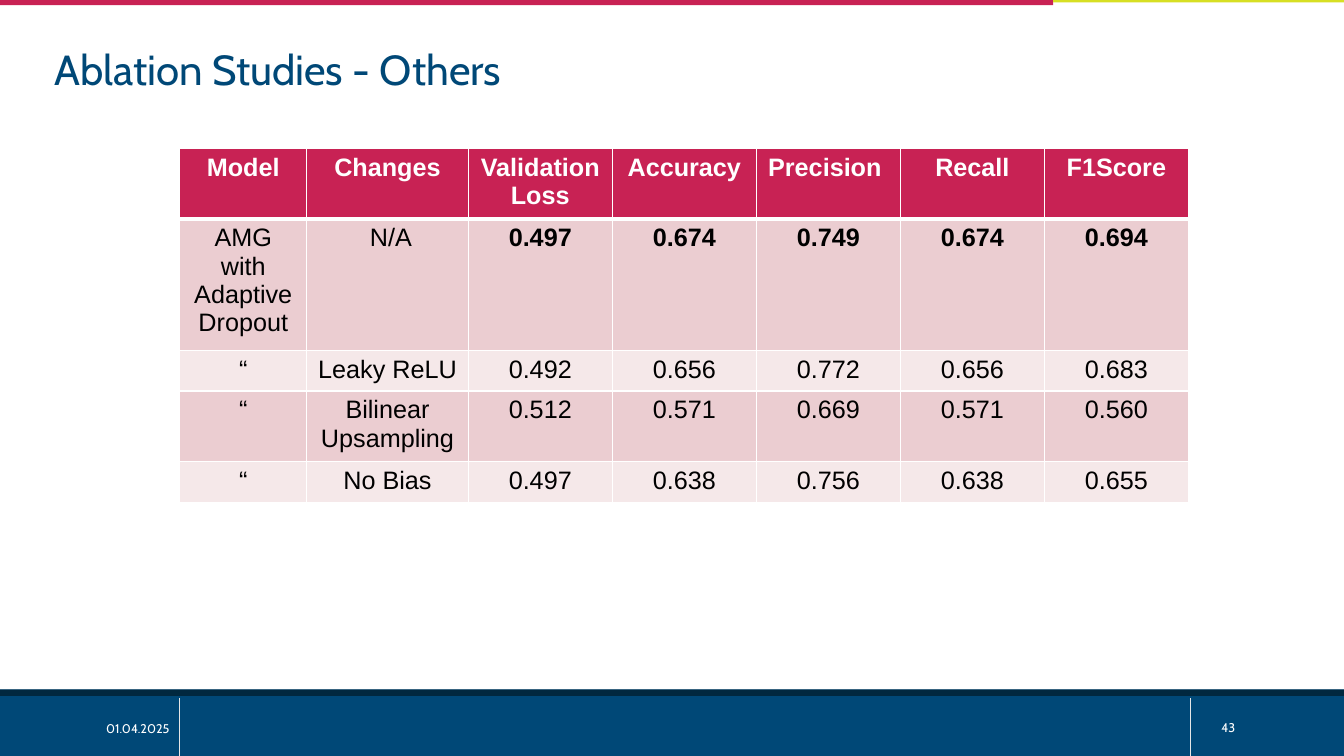
from dataclasses import dataclass

from lxml.etree import SubElement
from pptx import Presentation
from pptx.dml.color import RGBColor
from pptx.enum.shapes import MSO_CONNECTOR, MSO_SHAPE
from pptx.enum.text import MSO_ANCHOR, PP_ALIGN
from pptx.oxml.ns import qn
from pptx.util import Cm, Pt


@dataclass(frozen=True)
class Theme:
    blue: str = "004877"
    navy: str = "01283F"
    red: str = "C82254"
    lime: str = "D7DF23"
    rule: str = "E6E6E6"
    white: str = "FFFFFF"
    black: str = "000000"
    bands: tuple = ("EBCDD1", "F5E8E9")
    head: str = "Cabin"
    body: str = "Arial"
    title: int = 30
    cell: int = 18
    small: int = 9


THEME = Theme()
WIDTH, HEIGHT = 33.87, 19.05
COLS = (3.2, 4.07) + (3.63,) * 5
ROW = 1.03
BEST = 1
ROWS = (
    ("Model", "Changes", "Validation Loss", "Accuracy", "Precision ", "Recall", "F1Score"),
    ("AMG with Adaptive Dropout", " N/A", "0.497", "0.674", "0.749", "0.674", "0.694"),
    ("“", "Leaky ReLU", "0.492", "0.656", "0.772", "0.656", "0.683"),
    ("“", "Bilinear Upsampling", "0.512", "0.571", "0.669", "0.571", "0.560"),
    ("“", "No Bias", "0.497", "0.638", "0.756", "0.638", "0.655"),
)


def add_bar(slide, left, top, width, height, color):
    bar = slide.shapes.add_shape(
        MSO_SHAPE.RECTANGLE, Cm(left), Cm(top), Cm(width), Cm(height))
    bar.shadow.inherit = False
    bar.fill.solid()
    bar.fill.fore_color.rgb = RGBColor.from_string(color)
    bar.line.fill.background()


def add_rule(slide, left, top):
    """Draw a thin upright line from top to the foot of the slide."""
    rule = slide.shapes.add_connector(
        MSO_CONNECTOR.STRAIGHT, Cm(left), Cm(top), Cm(left), Cm(HEIGHT))
    rule.line.color.rgb = RGBColor.from_string(THEME.rule)
    rule.line.width = Pt(0.5)
    SubElement(rule._element.spPr, qn("a:effectLst"))


def write(frame, text, font, size, color, align, bold=False):
    para = frame.paragraphs[0]
    para.alignment = align
    run = para.add_run()
    run.text = text
    run.font.name = font
    run.font.size = Pt(size)
    run.font.bold = bold
    run.font.color.rgb = RGBColor.from_string(color)


def add_label(slide, box, text, size, color, align=PP_ALIGN.LEFT,
              anchor=MSO_ANCHOR.MIDDLE):
    frame = slide.shapes.add_textbox(*map(Cm, box)).text_frame
    frame.word_wrap = True
    frame.vertical_anchor = anchor
    write(frame, text, THEME.head, size, color, align)


def set_edges(cell, above, below):
    """Give the cell white borders; above and below are widths in points."""
    props = cell._tc.get_or_add_tcPr()
    for side, width in (("L", 1), ("R", 1), ("T", above), ("B", below)):
        line = SubElement(props, qn(f"a:ln{side}"), w=str(Pt(width)))
        fill = SubElement(line, qn("a:solidFill"))
        SubElement(fill, qn("a:srgbClr"), val=THEME.white)


def fill_cell(cell, text, row, col):
    head = row == 0
    set_edges(cell, 3 if row == 1 else 1, 3 if head else 1)
    cell.fill.solid()
    color = THEME.red if head else THEME.bands[(row - 1) % 2]
    cell.fill.fore_color.rgb = RGBColor.from_string(color)
    write(cell.text_frame, text, THEME.body, THEME.cell,
          THEME.white if head else THEME.black, PP_ALIGN.CENTER,
          head or (row == BEST and col > 1))


def add_scores(slide, left, top):
    table = slide.shapes.add_table(
        len(ROWS), len(COLS), Cm(left), Cm(top),
        Cm(sum(COLS)), Cm(ROW * len(ROWS))).table
    for col, width in enumerate(COLS):
        table.columns[col].width = Cm(width)
    for row, texts in enumerate(ROWS):
        table.rows[row].height = Cm(ROW)
        for col, text in enumerate(texts):
            fill_cell(table.cell(row, col), text, row, col)


def main():
    deck = Presentation()
    deck.slide_width, deck.slide_height = Cm(WIDTH), Cm(HEIGHT)
    slide = deck.slides.add_slide(deck.slide_layouts[6])

    add_bar(slide, 0, 17.37, WIDTH, 1.68, THEME.blue)
    for left in (4.52, 30):
        add_rule(slide, left, 17.6)
    add_bar(slide, 0, 17.38, WIDTH, 0.16, THEME.navy)
    add_bar(slide, 0, 0, 26.54, 0.13, THEME.red)
    add_bar(slide, 26.54, 0, WIDTH - 26.54, 0.06, THEME.lime)

    add_label(slide, (1.12, 0.97, 24.64, 1.9), "Ablation Studies - Others",
              THEME.title, THEME.blue, anchor=MSO_ANCHOR.TOP)
    add_scores(slide, 4.53, 3.74)
    add_label(slide, (30.53, 17.83, 3.33, 1.02), "43", THEME.small, THEME.white)
    add_label(slide, (1.12, 17.85, 3.4, 1), "01.04.2025", THEME.small,
              THEME.white, PP_ALIGN.RIGHT)
    deck.save("out.pptx")


if __name__ == "__main__":
    main()
